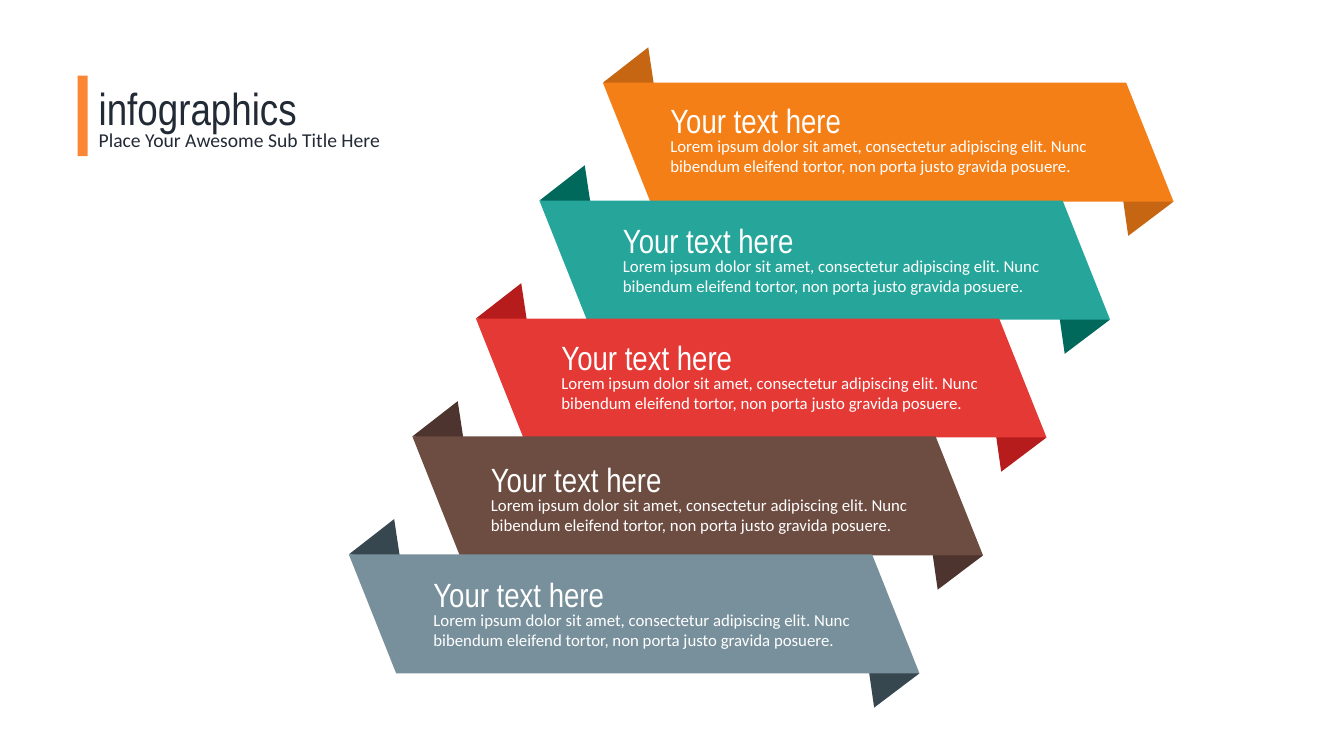
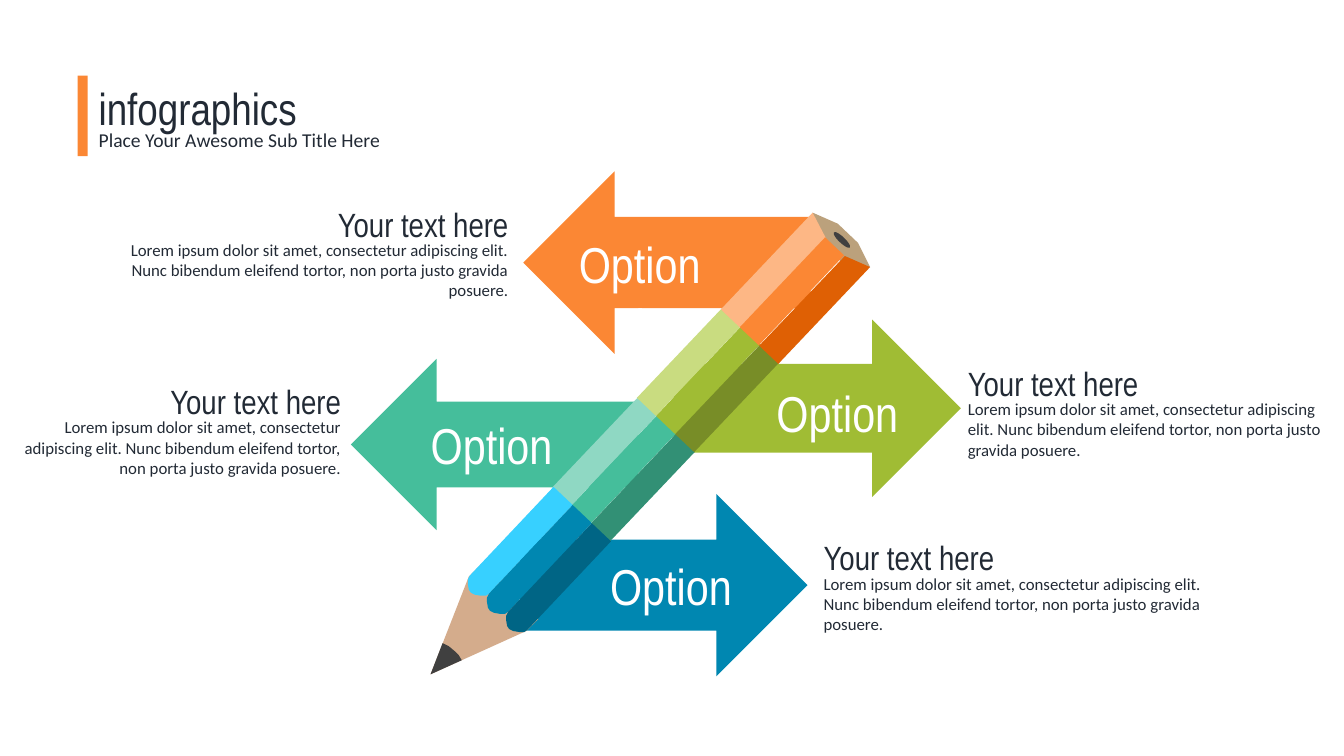
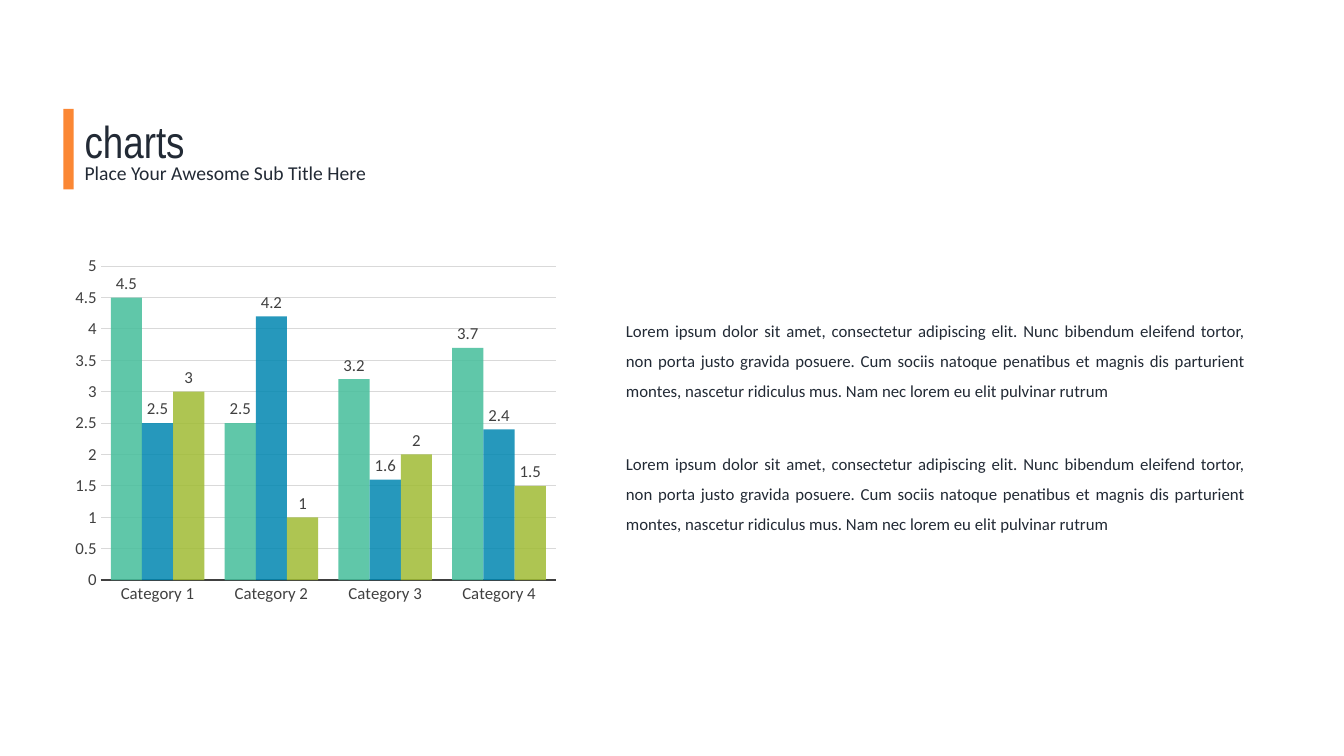
"""Build three infographic slides: stacked ribbons, a pencil with options, a column chart."""
from lxml.etree import SubElement
from pptx import Presentation
from pptx.chart.data import CategoryChartData
from pptx.dml.color import RGBColor
from pptx.enum.chart import XL_CHART_TYPE, XL_LABEL_POSITION, XL_TICK_MARK
from pptx.enum.shapes import MSO_SHAPE
from pptx.enum.text import MSO_AUTO_SIZE, PP_ALIGN
from pptx.oxml import parse_xml
from pptx.oxml.ns import nsdecls, qn
from pptx.util import Inches, Pt

WHITE = RGBColor(0xFF, 0xFF, 0xFF)
INK = RGBColor(0x22, 0x2A, 0x35)
CHARCOAL = RGBColor(0x40, 0x40, 0x40)
GRID_GRAY = RGBColor(0xD9, 0xD9, 0xD9)

ORANGE = RGBColor(0xFB, 0x87, 0x34)
ORANGE_LIGHT = RGBColor(0xFD, 0xB7, 0x85)
ORANGE_DARK = RGBColor(0xDF, 0x60, 0x04)
LIME = RGBColor(0xA0, 0xBC, 0x34)
LIME_LIGHT = RGBColor(0xC9, 0xDC, 0x80)
LIME_DARK = RGBColor(0x78, 0x8D, 0x27)
MINT = RGBColor(0x45, 0xBE, 0x9B)
MINT_LIGHT = RGBColor(0x8F, 0xD8, 0xC3)
MINT_DARK = RGBColor(0x32, 0x90, 0x75)
BLUE = RGBColor(0x00, 0x87, 0xB1)
BLUE_LIGHT = RGBColor(0x37, 0xD0, 0xFF)
BLUE_DARK = RGBColor(0x00, 0x65, 0x85)
WOOD = RGBColor(0xD4, 0xAC, 0x8C)
WOOD_DARK = RGBColor(0xBB, 0xA1, 0x7C)

AMBER = RGBColor(0xF5, 0x7F, 0x17)
AMBER_DARK = RGBColor(0xC7, 0x66, 0x12)
TEAL = RGBColor(0x26, 0xA6, 0x9A)
TEAL_DARK = RGBColor(0x00, 0x69, 0x5C)
RED = RGBColor(0xE5, 0x39, 0x35)
RED_DARK = RGBColor(0xB7, 0x1C, 0x1C)
BROWN = RGBColor(0x6D, 0x4C, 0x41)
BROWN_DARK = RGBColor(0x4E, 0x34, 0x2E)
SLATE = RGBColor(0x78, 0x90, 0x9C)
SLATE_DARK = RGBColor(0x37, 0x47, 0x4F)

HEADING_FONT = "Arial Narrow"
BODY_FONT = "Calibri"
LOREM = (
    "Lorem ipsum dolor sit amet, consectetur adipiscing elit. "
    "Nunc bibendum eleifend tortor, non porta justo gravida posuere."
)
LOREM_LONG = LOREM + (
    " Cum sociis natoque penatibus et magnis dis parturient montes, "
    "nascetur ridiculus mus. Nam nec lorem eu elit pulvinar rutrum"
)


def shifted(points, dx, dy):
    return [(x + dx, y + dy) for x, y in points]


class Deck:
    def __init__(self):
        self.presentation = Presentation()
        self.presentation.slide_width = Inches(13.33)
        self.presentation.slide_height = Inches(7.5)
        self.slide = None

    def add_slide(self, title, left, top):
        layout = self.presentation.slide_layouts[6]
        self.slide = self.presentation.slides.add_slide(layout)
        self.text(title, left + 0.11, top, 4.31, 0.64, 32, font=HEADING_FONT)
        self.text("Place Your Awesome Sub Title Here", left + 0.11, top + 0.47, 4.31, 0.34, 14)
        self.shape(MSO_SHAPE.RECTANGLE, left, top, 0.1, 0.8, ORANGE)

    def paint(self, shape, color):
        shape.shadow.inherit = False
        shape.fill.solid()
        shape.fill.fore_color.rgb = color
        shape.line.fill.background()

    def shape(self, kind, left, top, width, height, color, rotation=0):
        shape = self.slide.shapes.add_shape(
            kind, Inches(left), Inches(top), Inches(width), Inches(height)
        )
        shape.rotation = rotation
        self.paint(shape, color)

    def outline(self, points, color):
        start, *rest = [(Inches(x), Inches(y)) for x, y in points]
        builder = self.slide.shapes.build_freeform(*start)
        builder.add_line_segments(rest, close=True)
        self.paint(builder.convert_to_shape(), color)

    def text(self, text, left, top, width, height, size, color=INK,
             font=BODY_FONT, align=PP_ALIGN.LEFT, line_spacing=None):
        box = self.slide.shapes.add_textbox(
            Inches(left), Inches(top), Inches(width), Inches(height)
        )
        frame = box.text_frame
        frame.word_wrap = True
        frame.auto_size = MSO_AUTO_SIZE.SHAPE_TO_FIT_TEXT
        paragraph = frame.paragraphs[0]
        paragraph.text = text
        paragraph.alignment = align
        paragraph.line_spacing = line_spacing
        paragraph.font.name = font
        paragraph.font.size = Pt(size)
        paragraph.font.color.rgb = color

    def caption(self, left, top, width, color=INK, align=PP_ALIGN.LEFT):
        self.text(LOREM, left, top + 0.36, width, 0.5, 12, color, align=align)
        self.text("Your text here", left, top, width, 0.5, 24, color, HEADING_FONT, align)

    def ribbon(self, left, top, color, fold_color):
        folds = (
            [(0.45, -0.35), (0.51, 0.05), (0, 0)],
            [(5.21, 1.52), (5.15, 1.1), (5.66, 1.18)],
        )
        for fold in folds:
            self.outline(shifted(fold, left, top), fold_color)
        band = [(0, 0), (5.19, 0), (5.66, 1.18), (0.47, 1.18)]
        self.outline(shifted(band, left, top), color)

    def pencil(self):
        tilt = 313.5
        across_x, across_y = 0.19, 0.18
        segments = (
            (MINT_LIGHT, MINT, MINT_DARK),
            (LIME_LIGHT, LIME, LIME_DARK),
        )
        for row, shades in enumerate(segments):
            for column, shade in enumerate(shades):
                self.shape(
                    MSO_SHAPE.RECTANGLE,
                    5.38 + 0.84 * row + across_x * column,
                    4.35 - 0.89 * row + across_y * column,
                    1.23, 0.26, shade, tilt,
                )
        self.outline(
            [(8.09, 2.36), (8.06, 2.11), (8.31, 2.22), (8.51, 2.41), (8.63, 2.65), (8.38, 2.63)],
            WOOD_DARK,
        )
        self.outline([(8.19, 2.36), (8.06, 2.11), (7.15, 3.07), (7.34, 3.25)], ORANGE_LIGHT)
        self.shape(MSO_SHAPE.RECTANGLE, 7.24, 2.76, 1.23, 0.26, ORANGE, tilt)
        self.outline([(8.63, 2.65), (8.38, 2.54), (7.53, 3.43), (7.72, 3.61)], ORANGE_DARK)
        self.shape(MSO_SHAPE.OVAL, 8.32, 2.27, 0.06, 0.22, CHARCOAL, tilt)
        self.outline([(5.22, 6.26), (4.27, 6.69), (4.65, 5.72), (4.77, 5.6), (5.34, 6.14)], WOOD)
        rounded_band = [
            (5.49, 4.83), (4.66, 5.71), (4.64, 5.75), (4.64, 5.79), (4.65, 5.85), (4.67, 5.88),
            (4.71, 5.9), (4.77, 5.91), (4.82, 5.91), (4.85, 5.89), (5.68, 5.01),
        ]
        for column, shade in enumerate((BLUE_LIGHT, BLUE, BLUE_DARK)):
            self.outline(shifted(rounded_band, across_x * column, across_y * column), shade)
        self.outline(
            [(4.39, 6.38), (4.27, 6.69), (4.58, 6.55), (4.55, 6.5), (4.51, 6.46), (4.45, 6.41)],
            CHARCOAL,
        )

    def style_font(self, font):
        font.name = BODY_FONT
        font.size = Pt(12)
        font.color.rgb = CHARCOAL

    def column_chart(self, left, top, width, height, categories, series_rows):
        data = CategoryChartData()
        data.categories = categories
        for name, values, _ in series_rows:
            data.add_series(name, values)
        chart = self.slide.shapes.add_chart(
            XL_CHART_TYPE.COLUMN_CLUSTERED,
            Inches(left), Inches(top), Inches(width), Inches(height), data,
        ).chart
        chart.has_legend = False
        chart.has_title = False
        self.style_font(chart.font)

        category_axis, value_axis = chart.category_axis, chart.value_axis
        for axis in (category_axis, value_axis):
            axis.major_tick_mark = XL_TICK_MARK.NONE
            axis.minor_tick_mark = XL_TICK_MARK.NONE
            self.style_font(axis.tick_labels.font)
        category_axis.format.line.color.rgb = CHARCOAL
        category_axis.format.line.width = Pt(1.5)
        value_axis.minimum_scale = 0
        value_axis.maximum_scale = 5
        value_axis.major_unit = 0.5
        value_axis.format.line.fill.background()
        value_axis.major_gridlines.format.line.color.rgb = GRID_GRAY
        value_axis.major_gridlines.format.line.width = Pt(0.75)

        plot = chart.plots[0]
        plot.gap_width = 65
        plot.overlap = 0
        plot.vary_by_categories = False
        for series, (_, _, color) in zip(plot.series, series_rows):
            series.format.fill.solid()
            series.format.fill.fore_color.rgb = color
            for color_element in series.format.fill._xPr.iter(qn("a:srgbClr")):
                SubElement(color_element, qn("a:alpha"), val="85000")
            labels = series.data_labels
            labels.show_value = True
            labels.position = XL_LABEL_POSITION.OUTSIDE_END
            self.style_font(labels.font)
        self.place_plot(chart, x=0.055, y=0.051, w=0.78, h=0.833)

    def place_plot(self, chart, **fractions):
        modes = "".join(f'<c:{side}Mode val="edge"/>' for side in "xy")
        sizes = "".join(f'<c:{key} val="{value}"/>' for key, value in fractions.items())
        plot_area = chart._chartSpace.chart.plotArea
        for layout in plot_area.findall(qn("c:layout")):
            plot_area.remove(layout)
        plot_area.insert(0, parse_xml(
            f'<c:layout {nsdecls("c")}><c:manualLayout><c:layoutTarget val="inner"/>'
            f"{modes}{sizes}</c:manualLayout></c:layout>"
        ))


def add_ribbons_slide(deck):
    deck.add_slide("infographics", 0.77, 0.75)
    ribbons = (
        (AMBER, AMBER_DARK, 6.55, 0.94),
        (TEAL, TEAL_DARK, 6.08, 2.13),
        (RED, RED_DARK, 5.47, 3.29),
        (BROWN, BROWN_DARK, 4.77, 4.5),
        (SLATE, SLATE_DARK, 4.2, 5.64),
    )
    for index, (color, fold_color, text_left, text_top) in enumerate(ribbons):
        deck.ribbon(5.98 - 0.63 * index, 0.82 + 1.17 * index, color, fold_color)
        deck.caption(text_left, text_top, 4.58, WHITE)


def add_pencil_slide(deck):
    deck.add_slide("infographics", 0.77, 0.75)
    to_left = (MSO_SHAPE.LEFT_ARROW, PP_ALIGN.RIGHT)
    to_right = (MSO_SHAPE.RIGHT_ARROW, PP_ALIGN.LEFT)
    options = (
        (to_left, ORANGE, (5.19, 1.7, 1.81), (5.56, 2.26), (1.05, 1.97, 4.09)),
        (to_right, LIME, (6.68, 3.17, 1.76), (7.52, 3.74), (9.5, 3.55, 3.75)),
        (to_left, MINT, (3.48, 3.56, 1.7), (4.09, 4.06), (0.08, 3.73, 3.4)),
        (to_right, BLUE, (5.16, 4.9, 1.81), (5.87, 5.46), (8.07, 5.28, 4.09)),
    )
    for (arrow, _), color, (left, top, height), _, _ in options:
        deck.shape(arrow, left, top, 2.85, height, color)
    deck.pencil()
    for number, ((_, align), _, _, label, caption) in enumerate(options, 1):
        deck.caption(*caption, align=align)
        deck.text(f"Option {number}", *label, 1.57, 0.71, 36, WHITE,
                  HEADING_FONT, PP_ALIGN.CENTER)


def add_chart_slide(deck):
    deck.add_slide("charts", 0.63, 1.08)
    deck.column_chart(
        0.68, 2.45, 5.79, 3.74,
        [f"Category {number}" for number in range(1, 5)],
        (
            ("Series 1", (4.5, 2.5, 3.2, 3.7), MINT),
            ("Series 2", (2.5, 4.2, 1.6, 2.4), BLUE),
            ("Series 3", (3, 1, 2, 1.5), LIME),
        ),
    )
    for top in (3.03, 4.35):
        deck.text(LOREM_LONG, 6.11, top, 6.34, 1.01, 12,
                  align=PP_ALIGN.JUSTIFY, line_spacing=1.5)


def main():
    deck = Deck()
    add_ribbons_slide(deck)
    add_pencil_slide(deck)
    add_chart_slide(deck)
    deck.presentation.save("out.pptx")


if __name__ == "__main__":
    main()
